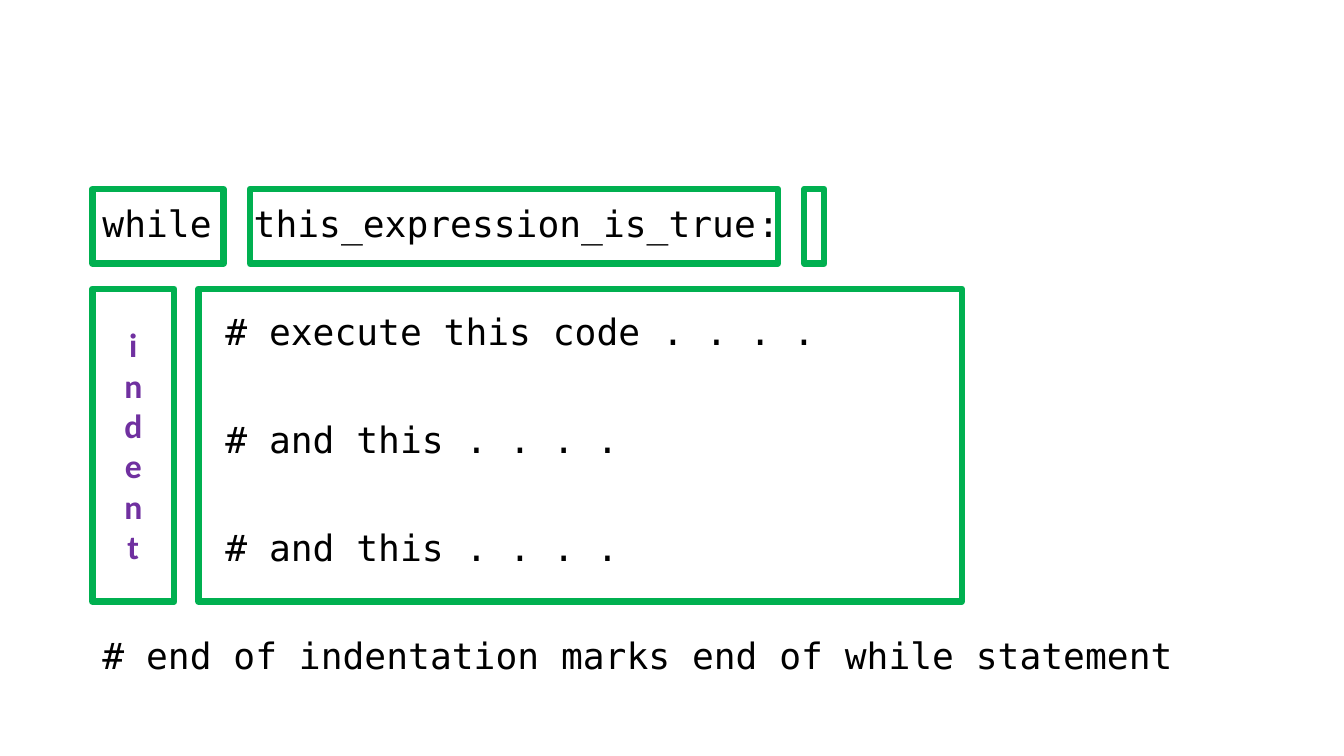
from lxml.etree import SubElement
from pptx import Presentation
from pptx.dml.color import RGBColor
from pptx.enum.shapes import MSO_SHAPE
from pptx.enum.text import MSO_ANCHOR, MSO_AUTO_SIZE, PP_ALIGN
from pptx.oxml.ns import qn
from pptx.util import Emu, Pt

PX = 9525  # 96 px to the inch


class Theme:
    code_font, code_size = "DejaVu Sans Mono", 25.9
    label_font, label_size = "Calibri", 24
    ink = RGBColor(0x00, 0x00, 0x00)
    frame = RGBColor(0x00, 0xB0, 0x50)
    label = RGBColor(0x70, 0x30, 0xA0)
    frame_width = 4.5


def px(length):
    return Emu(length * PX)


def write(para, text, *, font, size, color, bold=False, align=PP_ALIGN.LEFT):
    para.alignment = align
    span = para.add_run()
    span.text = text
    span.font.name = font
    span.font.size = Pt(size)
    span.font.bold = bold
    span.font.color.rgb = color


deck = Presentation()
deck.slide_width, deck.slide_height = px(1280), px(720)
page = deck.slides.add_slide(deck.slide_layouts[1])
title = page.shapes.title
title.element.getparent().remove(title.element)

# Code listing: text, left indent, tab stops
CODE_INDENT = 117
code_lines = [
    ("while\tthis_expression_is_true\t:", 0, (146, 666)),
    ("# execute this code . . . .", CODE_INDENT, ()),
    ("# and this . . . .", CODE_INDENT, ()),
    ("# and this . . . .", CODE_INDENT, ()),
    ("# end of indentation marks end of while statement", 0, ()),
]
listing = page.placeholders[1]
listing.left, listing.top, listing.width, listing.height = map(px, (88, 192, 1104, 457))
frame = listing.text_frame
frame.word_wrap = True
frame.auto_size = MSO_AUTO_SIZE.NONE
frame.vertical_anchor = MSO_ANCHOR.TOP
for number, (text, indent, stops) in enumerate(code_lines):
    para = frame.add_paragraph() if number else frame.paragraphs[0]
    para.line_spacing = 0.9
    para.space_before = Pt(49 if number else 0)
    write(para, text, font=Theme.code_font, size=Theme.code_size, color=Theme.ink)
    properties = para._p.get_or_add_pPr()
    properties.set("marL", str(px(indent)))
    properties.set("indent", "0")
    SubElement(properties, qn("a:buNone"))
    if stops:
        tabs = SubElement(properties, qn("a:tabLst"))
        for stop in stops:
            SubElement(tabs, qn("a:tab"), pos=str(px(stop)), algn="l")

# Green frames: a row around the header, a row around the body
HEADER_ROW, BODY_ROW = (180, 71), (275, 298)
frames = [
    (HEADER_ROW, 766, 19, ""),
    (BODY_ROW, 88, 78, "indent"),
    (BODY_ROW, 189, 727, ""),
    (HEADER_ROW, 238, 503, ""),
    (HEADER_ROW, 88, 125, ""),
]
for (top, height), left, width, label in frames:
    box = page.shapes.add_shape(MSO_SHAPE.RECTANGLE, px(left), px(top), px(width), px(height))
    box.shadow.inherit = False
    box.fill.background()
    box.line.color.rgb = Theme.frame
    box.line.width = Pt(Theme.frame_width)
    if label:
        box.text_frame.vertical_anchor = MSO_ANCHOR.MIDDLE
        box.text_frame._txBody.bodyPr.set("vert", "wordArtVert")
        write(box.text_frame.paragraphs[0], label, font=Theme.label_font,
              size=Theme.label_size, color=Theme.label, bold=True, align=PP_ALIGN.CENTER)

deck.save("out.pptx")
